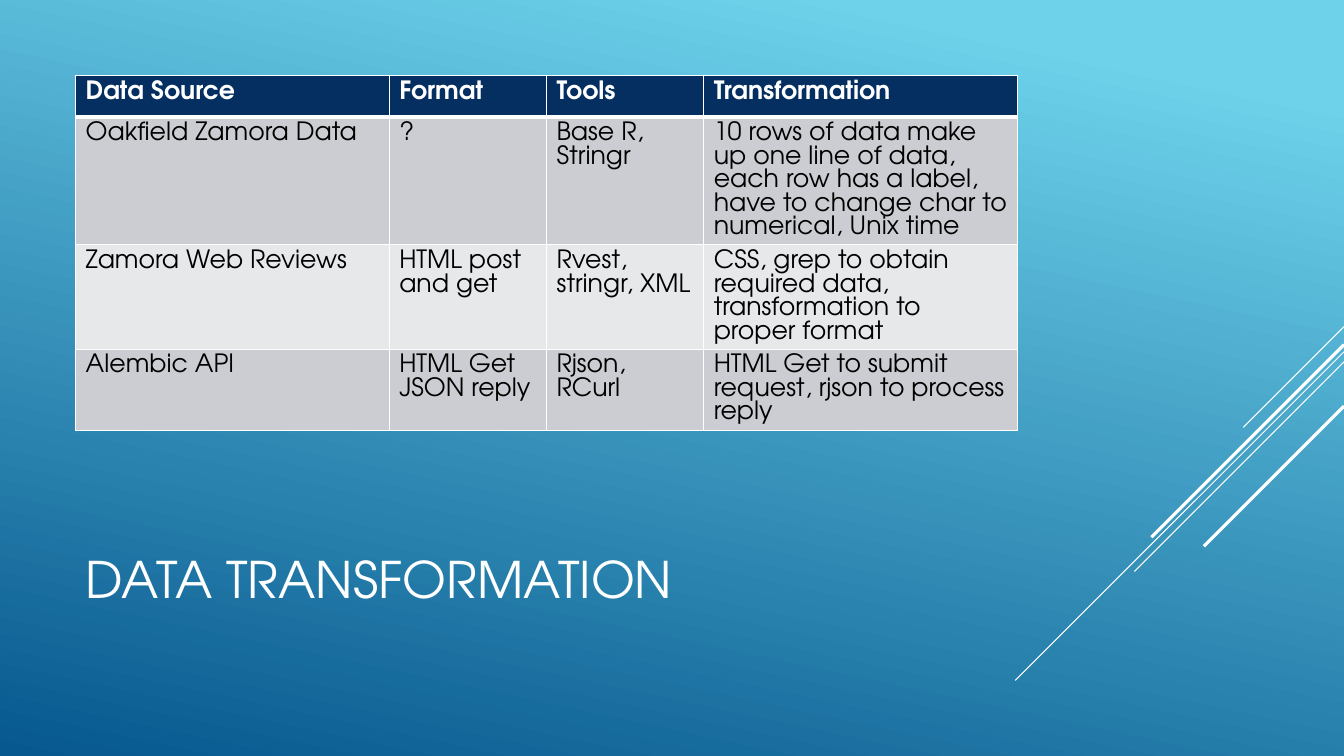
from lxml.etree import SubElement
from pptx import Presentation
from pptx.dml.color import RGBColor
from pptx.enum.shapes import MSO_CONNECTOR
from pptx.enum.text import MSO_ANCHOR, PP_ALIGN
from pptx.oxml.ns import qn
from pptx.util import Inches, Pt

COLORS = {
    "sky": "6ED2EB",
    "ocean": "06588E",
    "navy": "052F61",
    "band_dark": "CCCDD2",
    "band_light": "E7E8EA",
    "white": "FFFFFF",
    "black": "000000",
}
FONT = "TeX Gyre Adventor"
SLIDE_WIDTH = 13.33
MARGIN = 0.75

COLUMN_WIDTHS = [3.11, 1.56, 1.56, 3.11]
ROW_HEIGHTS = [0.41, 1.27, 1.03, 0.81]
SOURCES = [
    ["Data Source", "Format", "Tools", "Transformation"],
    ["Oakfield Zamora Data", "?", "Base R, Stringr",
     "10 rows of data make up one line of data, each row has a label, "
     "have to change char to numerical, Unix time"],
    ["Zamora Web Reviews", "HTML post and get", "Rvest, stringr, XML",
     "CSS, grep to obtain required data, transformation to proper format"],
    ["Alembic API", "HTML Get\nJSON reply", "Rjson, RCurl",
     "HTML Get to submit request, rjson to process reply"],
]
DIAGONALS = [
    (3.24, 1.0, 0.75),
    (3.49, 3.26, 0.75),
    (3.59, 2.08, 0.75),
    (3.42, 1.91, 2.25),
    (4.03, 1.39, 2.25),
]


class SlideBuilder:
    def __init__(self, slide):
        self.slide = slide

    def color(self, name):
        return RGBColor.from_string(COLORS[name])

    def background(self, start, end, clockwise_angle):
        fill = self.slide.background.fill
        fill.gradient()
        fill.gradient_angle = 360 - clockwise_angle
        for stop, name, position in zip(fill.gradient_stops, (start, end), (0.1, 1)):
            stop.color.rgb = self.color(name)
            stop.position = position

    def add_text(self, paragraph, text, size, color, bold=False):
        paragraph.alignment = PP_ALIGN.LEFT
        run = paragraph.add_run()
        run.text = text
        run.font.name = FONT
        run.font.size = Pt(size)
        run.font.bold = bold
        run.font.color.rgb = self.color(color)

    def title(self, text, left, top, width, height):
        heading = self.slide.shapes.title
        heading.left, heading.top = Inches(left), Inches(top)
        heading.width, heading.height = Inches(width), Inches(height)
        heading.text_frame.word_wrap = True
        heading.text_frame.vertical_anchor = MSO_ANCHOR.MIDDLE
        self.add_text(heading.text_frame.paragraphs[0], text, 36, "white")

    def diagonal(self, top, reach, weight):
        line = self.slide.shapes.add_connector(
            MSO_CONNECTOR.STRAIGHT, Inches(SLIDE_WIDTH), Inches(top),
            Inches(SLIDE_WIDTH - reach), Inches(top + reach))
        line.line.color.rgb = self.color("white")
        line.line.width = Pt(weight)
        SubElement(line._element.spPr, qn("a:effectLst"))

    def border(self, cell, side, weight):
        edge = SubElement(cell._tc.get_or_add_tcPr(), qn(f"a:ln{side}"),
                          w=str(Pt(weight)))
        fill = SubElement(edge, qn("a:solidFill"))
        SubElement(fill, qn("a:srgbClr"), val=COLORS["white"])

    def cell(self, cell, text, row):
        header = row == 0
        above = 3 if row == 1 else 1
        below = 3 if header else 1
        for side, weight in zip("LRTB", (1, 1, above, below)):
            self.border(cell, side, weight)
        band = "navy" if header else "band_dark" if row % 2 else "band_light"
        cell.fill.solid()
        cell.fill.fore_color.rgb = self.color(band)
        frame = cell.text_frame
        for index, line in enumerate(text.split("\n")):
            paragraph = frame.add_paragraph() if index else frame.paragraphs[0]
            self.add_text(paragraph, line, 18, "white" if header else "black", header)

    def table(self, rows, left, top, widths, heights):
        table = self.slide.shapes.add_table(
            len(rows), len(widths), Inches(left), Inches(top),
            Inches(sum(widths)), Inches(sum(heights))).table
        for column, width in zip(table.columns, widths):
            column.width = Inches(width)
        for row, (texts, height) in enumerate(zip(rows, heights)):
            table.rows[row].height = Inches(height)
            for column, text in enumerate(texts):
                self.cell(table.cell(row, column), text, row)


def main():
    presentation = Presentation()
    presentation.slide_width = Inches(SLIDE_WIDTH)
    presentation.slide_height = Inches(7.5)
    title_only = presentation.slide_layouts[5]
    builder = SlideBuilder(presentation.slides.add_slide(title_only))
    builder.background("sky", "ocean", 102)
    for top, reach, weight in DIAGONALS:
        builder.diagonal(top, reach, weight)
    builder.title("DATA TRANSFORMATION", MARGIN, 4.91, 9.33, 1.65)
    builder.table(SOURCES, MARGIN, MARGIN, COLUMN_WIDTHS, ROW_HEIGHTS)
    presentation.save("out.pptx")


if __name__ == "__main__":
    main()
